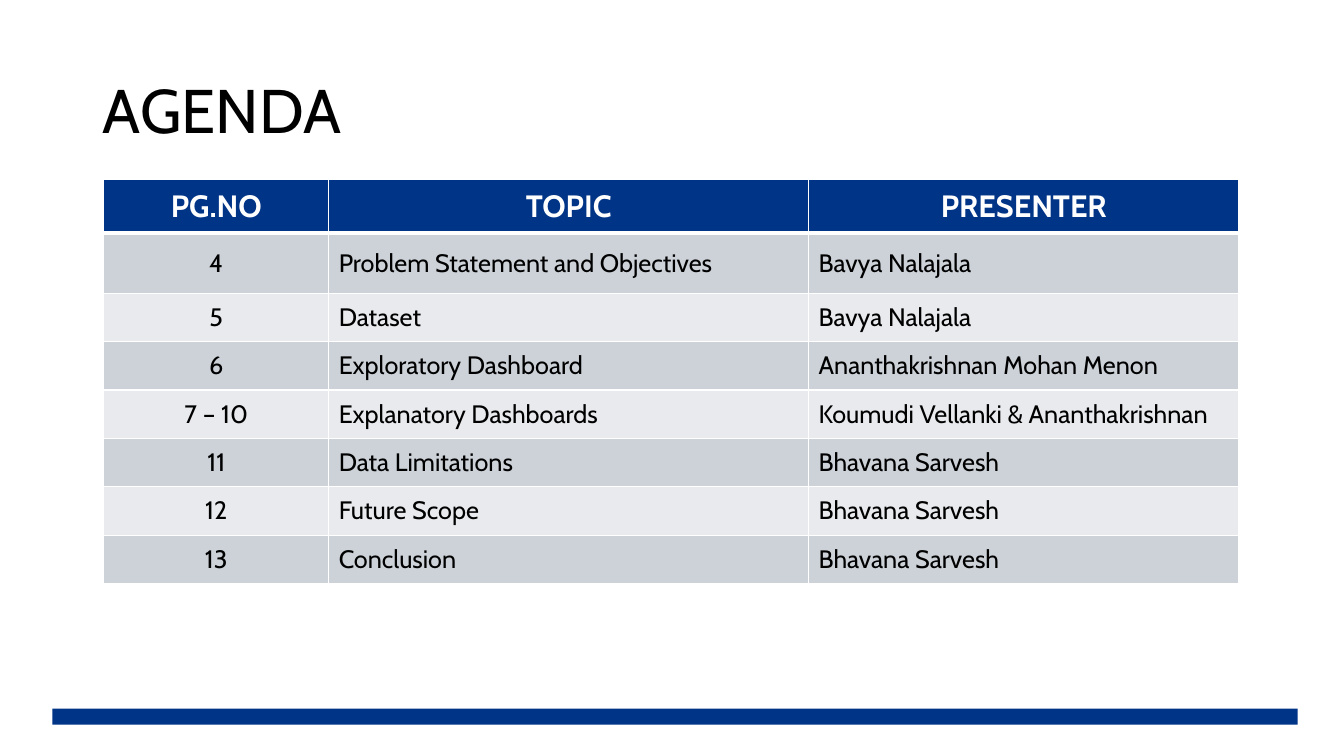
import lxml.etree
import pptx
import pptx.dml.color
import pptx.enum.shapes
import pptx.enum.text
import pptx.oxml.ns
import pptx.util

Inches = pptx.util.Inches
RGBColor = pptx.dml.color.RGBColor
PP_ALIGN = pptx.enum.text.PP_ALIGN
MIDDLE = pptx.enum.text.MSO_ANCHOR.MIDDLE
qn = pptx.oxml.ns.qn

NAVY = RGBColor(0x00, 0x34, 0x87)
DARK_BAND = RGBColor(0xCC, 0xD2, 0xD8)
LIGHT_BAND = RGBColor(0xE8, 0xEA, 0xED)
WHITE = RGBColor(0xFF, 0xFF, 0xFF)
BLACK = RGBColor(0x00, 0x00, 0x00)

AGENDA = [
    ("PG.NO", "TOPIC", "PRESENTER"),
    ("4", "Problem Statement and Objectives", "Bavya Nalajala"),
    ("5", "Dataset", "Bavya Nalajala"),
    ("6", "Exploratory Dashboard", "Ananthakrishnan Mohan Menon"),
    ("7 – 10", "Explanatory Dashboards", "Koumudi Vellanki & Ananthakrishnan"),
    ("11", "Data Limitations", "Bhavana Sarvesh"),
    ("12", "Future Scope", "Bhavana Sarvesh"),
    ("13", "Conclusion", "Bhavana Sarvesh"),
]
COLUMN_WIDTHS = [2.23, 4.76, 4.27]
ROW_HEIGHTS = [0.53, 0.6] + [0.48] * 6


def add_span(para, text, size, color, bold=False):
    span = para.add_run()
    span.text = text
    span.font.name = "Cabin"
    span.font.size = pptx.util.Pt(size)
    span.font.bold = bold
    span.font.color.rgb = color


def add_border(cell, side, points):
    properties = cell._tc.get_or_add_tcPr()
    line = lxml.etree.SubElement(properties, qn("a:" + side), w=str(pptx.util.Pt(points)))
    fill = lxml.etree.SubElement(line, qn("a:solidFill"))
    lxml.etree.SubElement(fill, qn("a:srgbClr"), val=str(WHITE))


deck = pptx.Presentation()
deck.slide_width = Inches(13.33)
deck.slide_height = Inches(7.5)
page = deck.slides.add_slide(deck.slide_layouts.get_by_name("Title Only"))

title = page.shapes.title
title.left, title.top = Inches(0.92), Inches(0.4)
title.width, title.height = Inches(11.5), Inches(1.45)
title.text_frame.vertical_anchor = MIDDLE
title_para = title.text_frame.paragraphs[0]
title_para.alignment = PP_ALIGN.LEFT
title_para.line_spacing = 0.9
add_span(title_para, "AGENDA", 44, BLACK)

table = page.shapes.add_table(
    len(AGENDA), len(COLUMN_WIDTHS),
    Inches(1.03), Inches(1.78), Inches(sum(COLUMN_WIDTHS)), Inches(sum(ROW_HEIGHTS)),
).table
for column, width in zip(table.columns, COLUMN_WIDTHS):
    column.width = Inches(width)

for row_index, texts in enumerate(AGENDA):
    table.rows[row_index].height = Inches(ROW_HEIGHTS[row_index])
    is_header = row_index == 0
    band = DARK_BAND if row_index % 2 else LIGHT_BAND
    for column_index, text in enumerate(texts):
        cell = table.cell(row_index, column_index)
        cell.vertical_anchor = MIDDLE
        add_border(cell, "lnL", 1)
        add_border(cell, "lnR", 1)
        add_border(cell, "lnT", 3 if row_index == 1 else 1)
        add_border(cell, "lnB", 3 if is_header else 1)
        cell.fill.solid()
        cell.fill.fore_color.rgb = NAVY if is_header else band
        para = cell.text_frame.paragraphs[0]
        centred = is_header or column_index == 0
        para.alignment = PP_ALIGN.CENTER if centred else PP_ALIGN.LEFT
        add_span(para, text, 22 if is_header else 18, WHITE if is_header else BLACK, is_header)

footer_bar = page.shapes.add_shape(
    pptx.enum.shapes.MSO_SHAPE.RECTANGLE,
    Inches(0.52), Inches(7.03), Inches(12.35), Inches(0.16),
)
footer_bar.shadow.inherit = False
footer_bar.fill.solid()
footer_bar.fill.fore_color.rgb = NAVY
footer_bar.line.fill.background()

deck.save("out.pptx")
